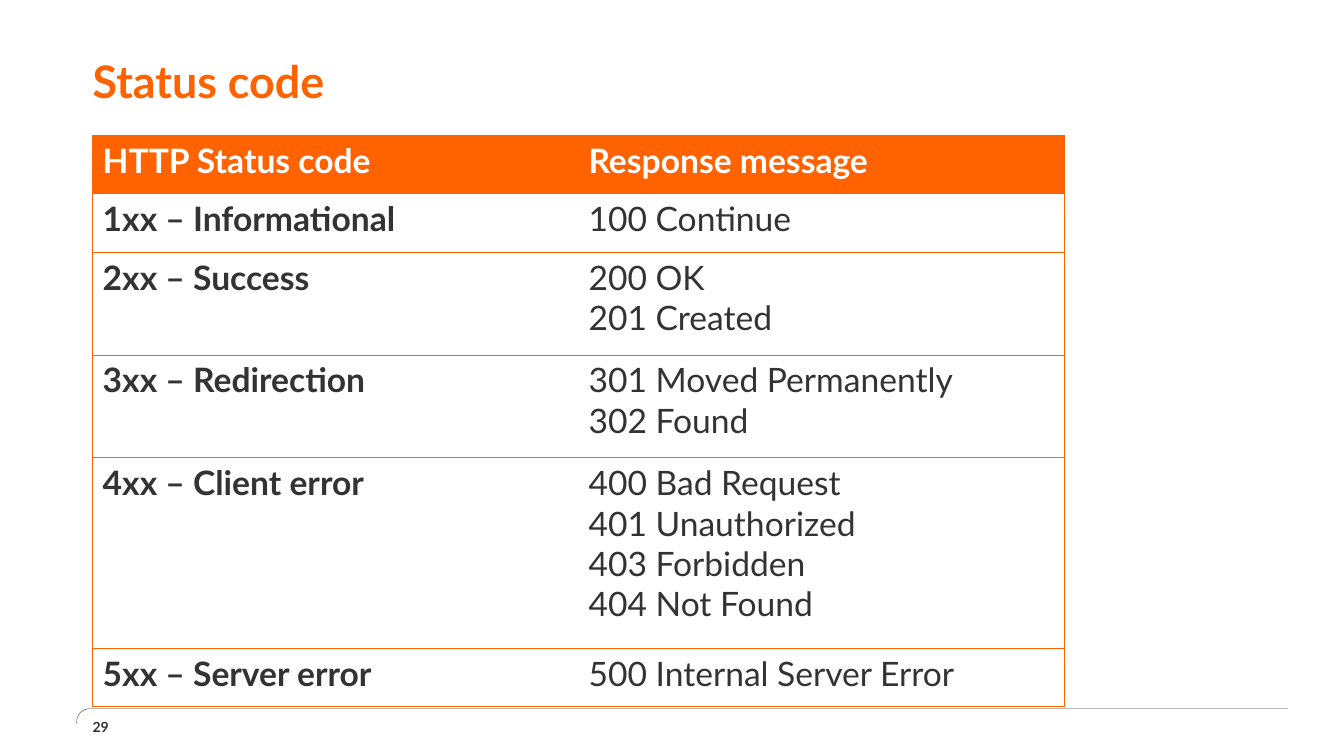
from lxml import etree
from pptx import Presentation
from pptx.dml.color import RGBColor
from pptx.enum.text import MSO_ANCHOR, PP_ALIGN
from pptx.oxml.ns import qn
from pptx.util import Pt

ORANGE = RGBColor(0xFF, 0x62, 0x00)
DARK = RGBColor(0x33, 0x33, 0x33)
WHITE = RGBColor(0xFF, 0xFF, 0xFF)
MIDDLE, LEFT = MSO_ANCHOR.MIDDLE, PP_ALIGN.LEFT

TITLE_ONLY = 5
FONT_NAME = "Lato"
FRAME_FORMAT = {"margin_left": 0, "margin_right": 0, "margin_top": 0,
                "margin_bottom": 0, "vertical_anchor": MIDDLE, "word_wrap": True}

HEADER = ("HTTP Status code", ["Response message"])
STATUS_CODES = [
    ("1xx – Informational", ["100 Continue"]),
    ("2xx – Success", ["200 OK", "201 Created"]),
    ("3xx – Redirection", ["301 Moved Permanently", "302 Found"]),
    ("4xx – Client error", ["400 Bad Request", "401 Unauthorized",
                            "403 Forbidden", "404 Not Found"]),
    ("5xx – Server error", ["500 Internal Server Error"]),
]
ROW_HEIGHTS = {1: 41.8, 2: 73.4, 4: 136}  # by number of messages


def apply_format(target, values):
    for name, value in values.items():
        setattr(target, name, value)


def write_lines(text_frame, lines, size, color, bold):
    text_frame.text = "\n".join(lines)
    for paragraph in text_frame.paragraphs:
        paragraph.alignment = LEFT
        apply_format(paragraph.font, {"name": FONT_NAME, "size": Pt(size), "bold": bold})
        paragraph.font.color.rgb = color


def place(shape, box):
    apply_format(shape, dict(zip(("left", "top", "width", "height"), map(Pt, box))))


def add_title(slide, box, text):
    title = slide.shapes.title
    place(title, box)
    apply_format(title.text_frame, FRAME_FORMAT)
    write_lines(title.text_frame, [text], 32, ORANGE, True)
    title.text_frame.paragraphs[0].line_spacing = Pt(28)


def set_borders(cell, visible_sides):
    properties = cell._tc.get_or_add_tcPr()
    for side in "LRTB":
        line = etree.SubElement(properties, qn(f"a:ln{side}"), w=str(Pt(0.5)))
        if side in visible_sides:
            fill = etree.SubElement(line, qn("a:solidFill"))
            etree.SubElement(fill, qn("a:srgbClr"), val=str(ORANGE))
        else:
            etree.SubElement(line, qn("a:noFill"))


def add_status_table(slide, left, top, width):
    rows = [HEADER] + STATUS_CODES
    heights = [ROW_HEIGHTS[len(messages)] for _, messages in rows]
    table = slide.shapes.add_table(
        len(rows), 2, Pt(left), Pt(top), Pt(width), Pt(sum(heights))).table
    table.horz_banding = False
    for row_index, (code, messages) in enumerate(rows):
        table.rows[row_index].height = Pt(heights[row_index])
        is_header = row_index == 0
        for column_index, lines in enumerate(([code], messages)):
            cell = table.cell(row_index, column_index)
            write_lines(cell.text_frame, lines, 24, WHITE if is_header else DARK,
                        is_header or column_index == 0)
            set_borders(cell, ("LTB", "RTB")[column_index])
            if is_header:
                cell.fill.solid()
                cell.fill.fore_color.rgb = ORANGE
            else:
                cell.fill.background()


def add_footer(slide, left, top, width, height, number):
    # Rule that bends down at its left end
    bend = 9.4
    steps = [step / 12 for step in range(13)]
    curve = [(left + bend * (1 - t) ** 2 * (1 + 2 * t), top + height * t ** 3)
             for t in steps]
    builder = slide.shapes.build_freeform(Pt(left + width), Pt(top))
    builder.add_line_segments([(Pt(x), Pt(y)) for x, y in curve], close=False)
    rule = builder.convert_to_shape()
    rule.shadow.inherit = False
    rule.fill.background()
    rule.line.color.rgb = DARK
    rule.line.width = Pt(0.25)

    # Page number
    page = slide.shapes.add_textbox(Pt(left + 11.5), Pt(top + 5.8), Pt(38.9), Pt(15.1))
    apply_format(page.text_frame, FRAME_FORMAT)
    write_lines(page.text_frame, [number], 10, DARK, True)


def main():
    presentation = Presentation()
    apply_format(presentation, {"slide_width": Pt(960), "slide_height": Pt(540)})
    slide = presentation.slides.add_slide(presentation.slide_layouts[TITLE_ONLY])
    add_footer(slide, 54.7, 506.2, 865.4, 10.4, "29")
    add_title(slide, (66.2, 29.5, 825.8, 67), "Status code")
    add_status_table(slide, 66.2, 96.5, 694)
    presentation.save("out.pptx")


if __name__ == "__main__":
    main()
